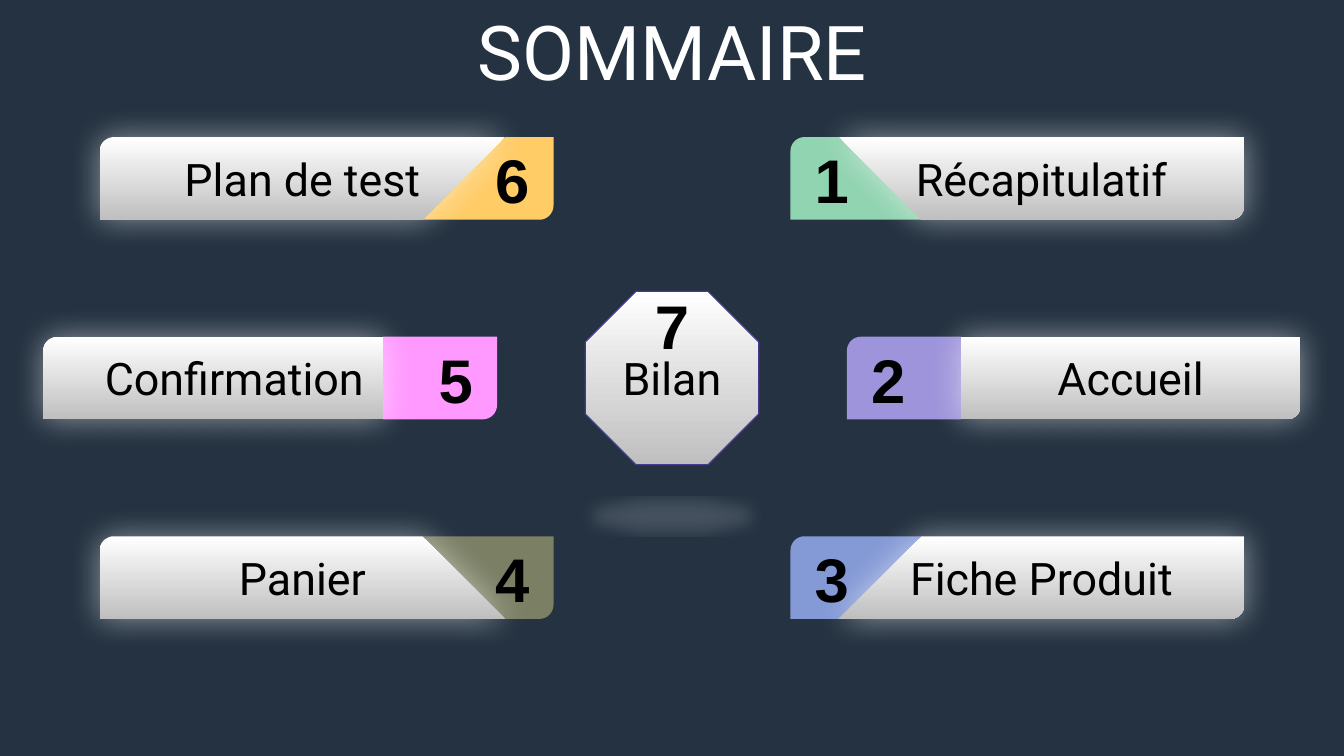
from dataclasses import dataclass
from math import cos, pi, sin

from lxml.etree import SubElement
from pptx import Presentation
from pptx.dml.color import RGBColor
from pptx.enum.shapes import MSO_SHAPE
from pptx.enum.text import MSO_ANCHOR, PP_ALIGN
from pptx.oxml.ns import qn
from pptx.util import Inches, Pt

TITLE = "SOMMAIRE"
CENTRE = ("7", "Bilan")
ENTRIES = [
    ("1", "Récapitulatif", "right", 0, "91D4B1", 0),
    ("2", "Accueil", "right", 1, "9E94DB", 0),
    ("3", "Fiche Produit", "right", 2, "849AD6", 0),
    ("4", "Panier", "left", 2, "7B8065", 0),
    ("5", "Confirmation", "left", 1, "FF99FF", 0.42),
    ("6", "Plan de test", "left", 0, "FFCC66", 0),
]
ROWS = [(7.84, 0.48, 1.3), (8.4, 1.13, 1.13), (7.84, 1.3, 0.48)]


@dataclass(frozen=True)
class Theme:
    background: str = "243241"
    light: str = "FFFFFF"
    shade: str = "BFBFBF"
    ink: str = "000000"
    outline: str = "463990"
    label_font: str = "Roboto"
    number_font: str = "Arial"
    title_size: int = 54
    number_size: int = 44
    label_size: int = 32


THEME = Theme()
SLIDE_W, SLIDE_H = 13.33, 7.5
BAR_W, BAR_H, CORNER = 4.5, 0.82, 0.14
FIRST_ROW, ROW_STEP = 1.36, 1.98
NUMBER_W, NUMBER_H = 0.82, 0.84
OCTAGON = 1.72


def rgb(value):
    return RGBColor.from_string(value)


def write(frame, text, font, size, color, bold=False):
    paragraph = frame.paragraphs[0]
    paragraph.alignment = PP_ALIGN.CENTER
    run = paragraph.add_run()
    run.text = text
    run.font.name = font
    run.font.size = Pt(size)
    run.font.bold = bold
    run.font.color.rgb = rgb(color)


def write_label(panel, label):
    panel.text_frame.word_wrap = True
    panel.text_frame.vertical_anchor = MSO_ANCHOR.MIDDLE
    write(panel.text_frame, label, THEME.label_font, THEME.label_size, THEME.ink)


def add_number(group, number, left, top):
    box = group.shapes.add_textbox(
        Inches(left), Inches(top), Inches(NUMBER_W), Inches(NUMBER_H))
    box.text_frame.word_wrap = True
    write(box.text_frame, number, THEME.number_font, THEME.number_size,
          THEME.ink, True)


def fill_gradient(panel):
    panel.fill.gradient()
    panel.fill.gradient_angle = 270
    for stop, color, position in zip(
            panel.fill.gradient_stops, (THEME.light, THEME.shade), (0, 1)):
        stop.color.rgb = rgb(color)
        stop.position = position


def add_glow(panel, opacity, blur, distance, **scale):
    panel.shadow.inherit = False
    effects = panel._element.spPr.find(qn("a:effectLst"))
    shadow = SubElement(
        effects, qn("a:outerShdw"), blurRad=str(Pt(blur)),
        dist=str(Pt(distance)), dir="5400000", rotWithShape="0", **scale)
    color = SubElement(shadow, qn("a:srgbClr"), val=THEME.light)
    SubElement(color, qn("a:alpha"), val=str(opacity * 1000))


def corner(x, y, start):
    angles = [start + step * pi / 16 for step in range(9)]
    return [(x + CORNER * cos(a), y + CORNER * sin(a)) for a in angles]


def add_outline(group, points):
    first, *rest = [(Inches(x), Inches(y)) for x, y in points]
    builder = group.shapes.build_freeform(*first)
    builder.add_line_segments(rest, close=True)
    piece = builder.convert_to_shape()
    piece.shadow.inherit = False
    piece.line.fill.background()
    return piece


def add_entry(slide, number, label, side, row, color, indent):
    left, seam_top, seam_bottom = ROWS[row]
    top = FIRST_ROW + row * ROW_STEP
    bottom = top + BAR_H
    on_right = side == "right"
    if not on_right:
        left = SLIDE_W - left - BAR_W
        seam_top, seam_bottom = BAR_W - seam_top, BAR_W - seam_bottom
    right = left + BAR_W
    seam = [(left + seam_top, top), (left + seam_bottom, bottom)]
    left_piece = corner(left + CORNER, top + CORNER, pi) + seam + [(left, bottom)]
    right_piece = [seam[0], (right, top)]
    right_piece += corner(right - CORNER, bottom - CORNER, 0) + [seam[1]]
    tab_points, panel_points = (
        (left_piece, right_piece) if on_right else (right_piece, left_piece))

    group = slide.shapes.add_group_shape()
    tab = add_outline(group, tab_points)
    tab.fill.solid()
    tab.fill.fore_color.rgb = rgb(color)
    panel = add_outline(group, panel_points)
    fill_gradient(panel)
    add_glow(panel, 50, 23, 0, algn="ctr")
    write_label(panel, label)
    panel.text_frame.margin_left = Inches(0.1 + indent)
    add_number(group, number, left if on_right else right - NUMBER_W, top)


def add_centre(slide, number, label):
    left, top = (SLIDE_W - OCTAGON) / 2, (SLIDE_H - OCTAGON) / 2
    group = slide.shapes.add_group_shape()
    octagon = group.shapes.add_shape(
        MSO_SHAPE.OCTAGON, Inches(left), Inches(top),
        Inches(OCTAGON), Inches(OCTAGON))
    fill_gradient(octagon)
    octagon.line.color.rgb = rgb(THEME.outline)
    octagon.line.width = Pt(0.85)
    add_glow(octagon, 15, 12, 25, sx="90000", sy="-19000")
    write_label(octagon, label)
    add_number(group, number, (SLIDE_W - NUMBER_W) / 2, top - 0.08)


def add_title(slide):
    title = slide.shapes.title
    title.left, title.top = Inches(4.55), Inches(0)
    title.width, title.height = Inches(4.24), Inches(1.01)
    title.text_frame.word_wrap = False
    title.text_frame.vertical_anchor = MSO_ANCHOR.TOP
    write(title.text_frame, TITLE, THEME.label_font, THEME.title_size, THEME.light)


def main():
    deck = Presentation()
    deck.slide_width, deck.slide_height = Inches(SLIDE_W), Inches(SLIDE_H)
    slide = deck.slides.add_slide(deck.slide_layouts[5])
    slide.background.fill.solid()
    slide.background.fill.fore_color.rgb = rgb(THEME.background)
    add_title(slide)
    for entry in ENTRIES:
        add_entry(slide, *entry)
    add_centre(slide, *CENTRE)
    deck.save("out.pptx")


if __name__ == "__main__":
    main()
